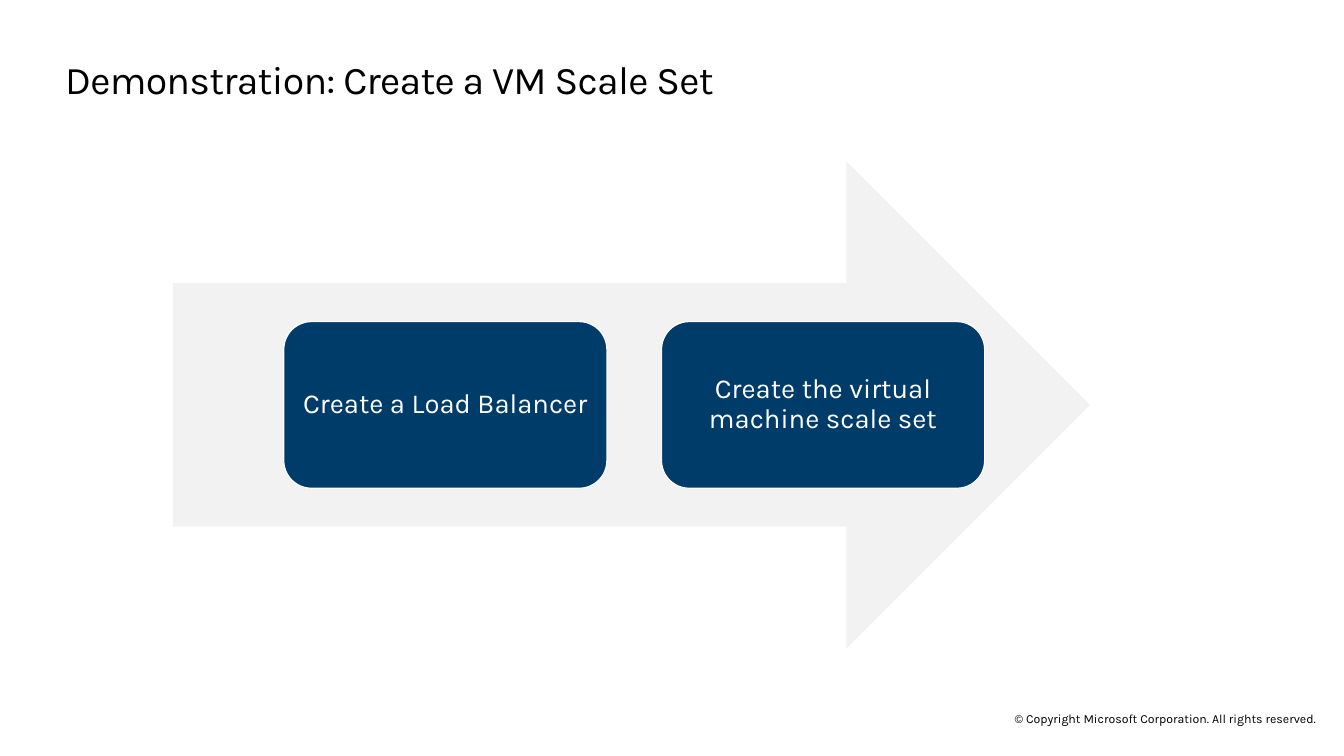
from pptx import Presentation
from pptx.dml.color import RGBColor
from pptx.enum.shapes import MSO_SHAPE as Shape
from pptx.enum.text import MSO_ANCHOR as Anchor, PP_ALIGN as Align
from pptx.util import Pt


def color(hex_string):
    return RGBColor.from_string(hex_string)


def set_text(shape, text, size, hex_string, align, anchor, insets):
    """Fill the shape with one paragraph; insets are left, top, right, bottom."""
    frame = shape.text_frame
    frame.word_wrap = True
    frame.vertical_anchor = anchor
    (frame.margin_left, frame.margin_top,
     frame.margin_right, frame.margin_bottom) = map(Pt, insets)
    paragraph = frame.paragraphs[0]
    paragraph.text = text
    paragraph.alignment = align
    paragraph.font.name = "Karla"
    paragraph.font.size = Pt(size)
    paragraph.font.color.rgb = color(hex_string)
    return paragraph


prs = Presentation()
prs.slide_width, prs.slide_height = Pt(979.2), Pt(550.8)
slide = prs.slides.add_slide(prs.slide_layouts[5])
shapes = slide.shapes

title = shapes.title
title.left, title.top, title.width, title.height = Pt(47.5), Pt(36.7), Pt(885), Pt(34.6)
heading = set_text(title, "Demonstration: Create a VM Scale Set", 28.6, "000000",
                   Align.LEFT, Anchor.TOP, (0, 7.2, 11.5, 7.2))
heading.line_spacing = 0.9
heading.runs[0]._r.get_or_add_rPr().set("spc", "-50")

process_arrow = shapes.add_shape(Shape.RIGHT_ARROW, Pt(126), Pt(117.5), Pt(668.2), Pt(355))
process_arrow.shadow.inherit = False
process_arrow.fill.solid()
process_arrow.fill.fore_color.rgb = color("F2F2F2")
process_arrow.line.fill.background()

steps = ["Create a Load Balancer", "Create the virtual machine scale set"]
for i, step_text in enumerate(steps):
    step = shapes.add_shape(Shape.ROUNDED_RECTANGLE, Pt(206.8 + 275.2 * i), Pt(234.3),
                            Pt(235.4), Pt(121.4))
    step.shadow.inherit = False
    step.fill.solid()
    step.fill.fore_color.rgb = color("003C6A")
    step.line.color.rgb = color("FFFFFF")
    step.line.width = Pt(0.85)
    label = set_text(step, step_text, 20, "FFFFFF", Align.CENTER, Anchor.MIDDLE,
                     (6, 6, 6, 6))
    label.line_spacing = 0.9

copyright_line = shapes.add_textbox(Pt(718.6), Pt(518.4), Pt(260.6), Pt(10.8))
set_text(copyright_line, "© Copyright Microsoft Corporation. All rights reserved.", 9,
         "000000", Align.CENTER, Anchor.MIDDLE, (0, 0, 0, 0))

prs.save("out.pptx")
